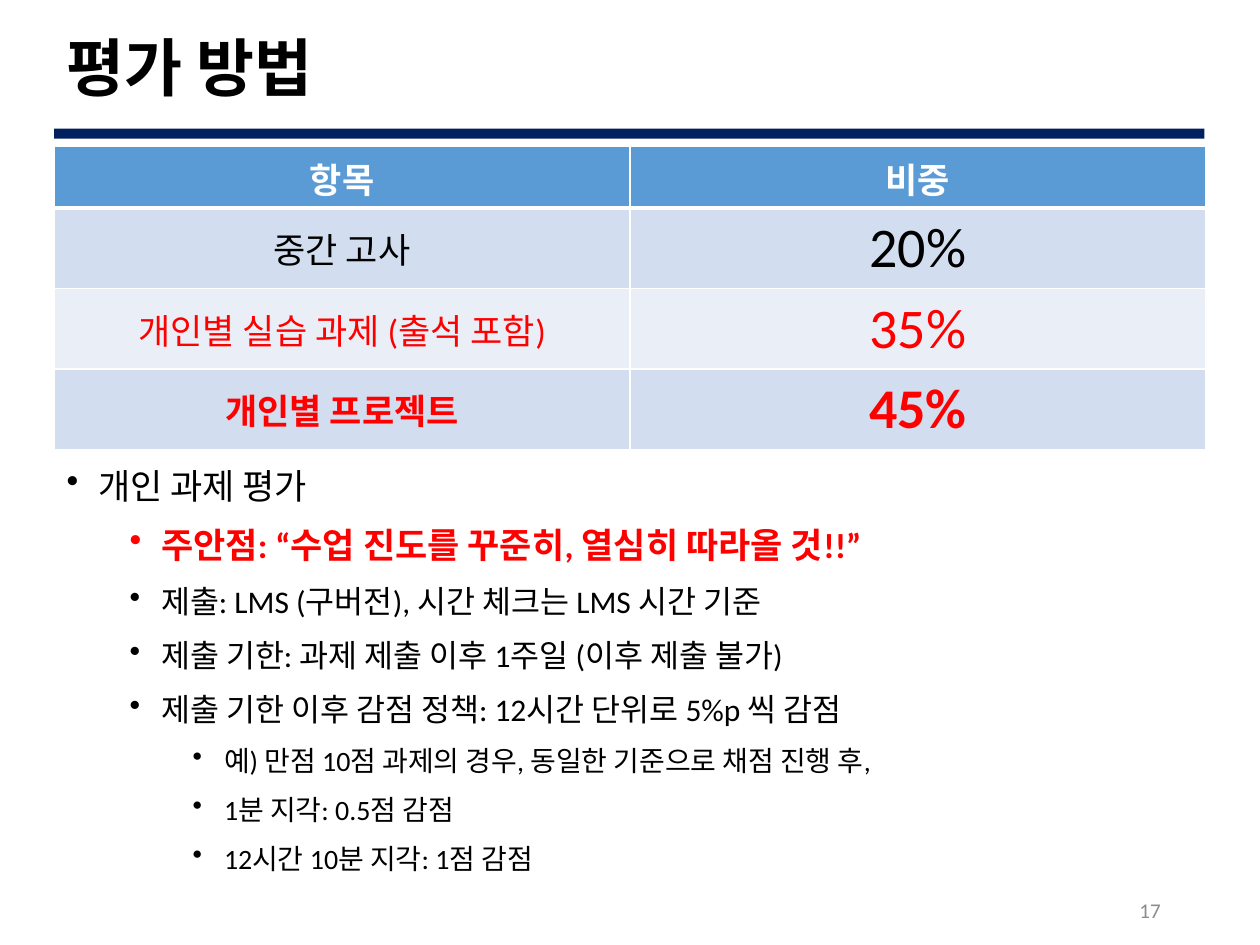
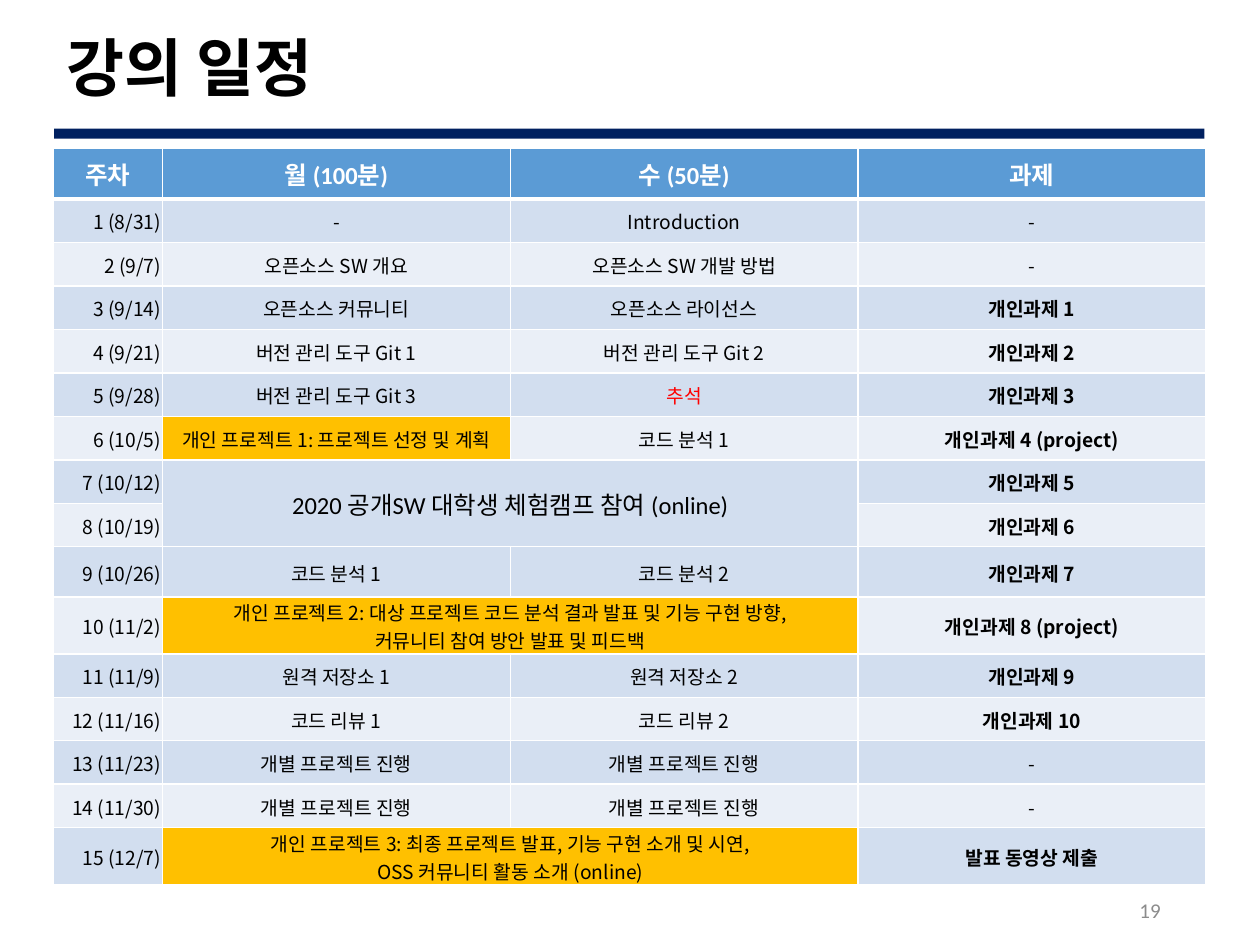
from lxml import etree
from pptx import Presentation
from pptx.dml.color import RGBColor
from pptx.enum.shapes import MSO_SHAPE
from pptx.enum.text import MSO_ANCHOR, PP_ALIGN
from pptx.oxml.ns import qn
from pptx.util import Inches, Pt

LEFT, CENTER, RIGHT = PP_ALIGN.LEFT, PP_ALIGN.CENTER, PP_ALIGN.RIGHT
MIDDLE, TOP = MSO_ANCHOR.MIDDLE, MSO_ANCHOR.TOP
RECTANGLE = MSO_SHAPE.RECTANGLE

COLORS = {
    "text": "000000", "white": "FFFFFF", "red": "FF0000", "rule": "002060",
    "header": "5B9BD5", "odd": "D2DEEF", "even": "EAEFF7",
    "project": "FFC000", "number": "8C8C8C",
}
HEAD_FONT, CELL_FONT = "Calibri", "Noto Sans CJK KR"
X, W = 0.43, 9.13


def add_text(slide, at, text, size, color="text", bold=False, align=LEFT, anchor=MIDDLE):
    tf = slide.shapes.add_textbox(*[Inches(v) for v in at]).text_frame
    tf.word_wrap = True
    tf.vertical_anchor = anchor
    tf.text = text
    for p in tf.paragraphs:
        p.alignment = align
        p.font.name, p.font.size, p.font.bold = HEAD_FONT, Pt(size), bold
        p.font.color.rgb = RGBColor.from_string(COLORS[color])
    return tf


def set_cell(table, row, col, text, size, color="text", bold=False,
             fill=None, align=CENTER, font=HEAD_FONT):
    cell = table.cell(row, col)
    # White borders, thick between the header and the body
    tcPr = cell._tc.get_or_add_tcPr()
    widths = {"lnL": 1, "lnR": 1, "lnT": 3 if row == 1 else 1, "lnB": 3 if row == 0 else 1}
    for tag, width in widths.items():
        ln = etree.SubElement(tcPr, qn(f"a:{tag}"), w=str(Pt(width)))
        etree.SubElement(etree.SubElement(ln, qn("a:solidFill")), qn("a:srgbClr"),
                         val=COLORS["white"])
    cell.fill.solid()
    band = "header" if row == 0 else "odd" if row % 2 else "even"
    cell.fill.fore_color.rgb = RGBColor.from_string(COLORS[fill or band])
    cell.vertical_anchor = MIDDLE
    cell.text_frame.text = text
    for p in cell.text_frame.paragraphs:
        p.alignment = align
        p.font.name, p.font.size, p.font.bold = font, Pt(size), bold
        p.font.color.rgb = RGBColor.from_string(COLORS[color])
    return cell


prs = Presentation()
prs.slide_width, prs.slide_height = Inches(10), Inches(7.5)

# Shared frame: rule, title, slide number
slides = []
for title, number in [("평가 방법", "17"), ("강의 일정", "19")]:
    s = prs.slides.add_slide(prs.slide_layouts[6])
    rule = s.shapes.add_shape(RECTANGLE, Inches(X), Inches(1.02), Inches(W), Inches(0.08))
    rule.shadow.inherit = False
    rule.fill.solid()
    rule.fill.fore_color.rgb = RGBColor.from_string(COLORS["rule"])
    rule.line.fill.background()
    tf = add_text(s, (X, 0.18, W, 0.77), title, 36, bold=True)
    tf.paragraphs[0].line_spacing = 0.9
    add_text(s, (7.06, 7.05, 2.25, 0.35), number, 12, "number", align=RIGHT)
    slides.append(s)
grading, schedule = slides

# Grading table
weights = [
    ("항목", "비중", "white", True),
    ("중간 고사", "20%", "text", False),
    ("개인별 실습 과제 (출석 포함)", "35%", "red", False),
    ("개인별 프로젝트", "45%", "red", True),
]
table = grading.shapes.add_table(len(weights), 2, Inches(X), Inches(1.16),
                                 Inches(9.14), Inches(2.41)).table
for row, (item, weight, color, bold) in enumerate(weights):
    table.rows[row].height = Inches(0.64 if row else 0.49)
    set_cell(table, row, 0, item, 20, color, bold)
    set_cell(table, row, 1, weight, 32 if row else 20, color, bold)

# Grading rules: level, size, text
rules = [
    (0, 20, "개인 과제 평가"),
    (1, 20, "주안점: “수업 진도를 꾸준히, 열심히 따라올 것!!”"),
    (1, 18, "제출: LMS (구버전), 시간 체크는 LMS 시간 기준"),
    (1, 18, "제출 기한: 과제 제출 이후 1주일 (이후 제출 불가)"),
    (1, 18, "제출 기한 이후 감점 정책: 12시간 단위로 5%p 씩 감점"),
    (2, 16, "예) 만점 10점 과제의 경우, 동일한 기준으로 채점 진행 후,"),
    (2, 16, "1분 지각: 0.5점 감점"),
    (2, 16, "12시간 10분 지각: 1점 감점"),
]
tf = add_text(grading, (X, 3.57, W, 3.39), "\n".join(text for _, _, text in rules), 18, anchor=TOP)
for i, (p, (level, size, _)) in enumerate(zip(tf.paragraphs, rules)):
    p.level = level
    p.line_spacing = 1.2
    p.space_before = Pt(5 if i else 0)
    p.font.size = Pt(size)
    pPr = p._p.get_or_add_pPr()
    pPr.set("marL", str(Inches(0.25 + 0.5 * level)))
    pPr.set("indent", str(-Inches(0.25)))
    bullet = etree.Element(qn("a:buChar"), char="•")
    pPr.find(qn("a:defRPr")).addprevious(bullet)
focus = tf.paragraphs[1].font
focus.bold = True
focus.color.rgb = RGBColor.from_string(COLORS["red"])

# Schedule table; None marks a cell covered by a merge
weeks = [
    ("주차", "월 (100분)", "수 (50분)", "과제"),
    ("1 (8/31)", "-", "Introduction", "-"),
    ("2 (9/7)", "오픈소스 SW 개요", "오픈소스 SW 개발 방법", "-"),
    ("3 (9/14)", "오픈소스 커뮤니티", "오픈소스 라이선스", "개인과제 1"),
    ("4 (9/21)", "버전 관리 도구 Git 1", "버전 관리 도구 Git 2", "개인과제 2"),
    ("5 (9/28)", "버전 관리 도구 Git 3", "추석", "개인과제 3"),
    ("6 (10/5)", "개인 프로젝트 1: 프로젝트 선정 및 계획", "코드 분석 1", "개인과제 4 (project)"),
    ("7 (10/12)", "2020 공개SW 대학생 체험캠프 참여 (online)", None, "개인과제 5"),
    ("8 (10/19)", None, None, "개인과제 6"),
    ("9 (10/26)", "코드 분석 1", "코드 분석 2", "개인과제 7"),
    ("10 (11/2)", "개인 프로젝트 2: 대상 프로젝트 코드 분석 결과 발표 및 기능 구현 방향,\n"
     "커뮤니티 참여 방안 발표 및 피드백", None, "개인과제 8 (project)"),
    ("11 (11/9)", "원격 저장소 1", "원격 저장소 2", "개인과제 9"),
    ("12 (11/16)", "코드 리뷰 1", "코드 리뷰 2", "개인과제 10"),
    ("13 (11/23)", "개별 프로젝트 진행", "개별 프로젝트 진행", "-"),
    ("14 (11/30)", "개별 프로젝트 진행", "개별 프로젝트 진행", "-"),
    ("15 (12/7)", "개인 프로젝트 3: 최종 프로젝트 발표, 기능 구현 소개 및 시연,\v"
     "OSS 커뮤니티 활동 소개 (online)", None, "발표 동영상 제출"),
]
camp_row = 7
row_heights = {0: 0.4, 9: 0.4, 10: 0.45, 15: 0.45}
table = schedule.shapes.add_table(len(weeks), 4, Inches(0.42), Inches(1.18),
                                  Inches(9.14), Inches(5.84)).table
for col, width in enumerate([0.87, 2.76, 2.76, 2.76]):
    table.columns[col].width = Inches(width)
for row, week in enumerate(weeks):
    table.rows[row].height = Inches(row_heights.get(row, 0.69 / 2))
    for col, text in enumerate(week):
        text = text or ""
        if row == 0:
            set_cell(table, row, col, text, 14, "white", True)
            continue
        camp = row == camp_row and col == 1
        cell = set_cell(
            table, row, col, text, 14 if camp else 11,
            color="red" if text == "추석" else "text",
            bold=col == 3 and text != "-",
            fill="project" if text.startswith("개인 프로젝트") else None,
            align=RIGHT if col == 0 else CENTER,
            font=HEAD_FONT if camp else CELL_FONT)
        cell.margin_left = cell.margin_right = cell.margin_top = Inches(0.01)
        cell.margin_bottom = 0
for first, last in [(camp_row, camp_row + 1), (10, 10), (15, 15)]:
    table.cell(first, 1).merge(table.cell(last, 2))

prs.save("out.pptx")
